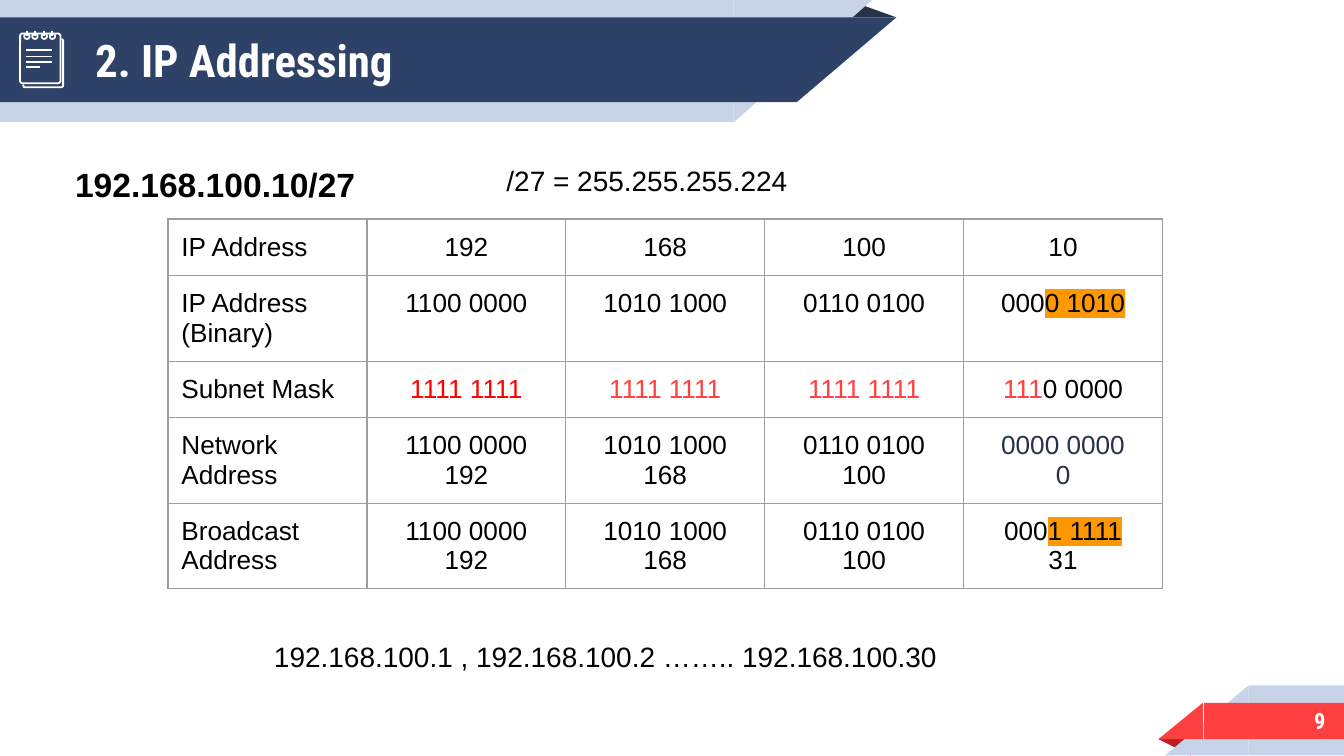
from lxml.etree import SubElement
from pptx import Presentation
from pptx.dml.color import RGBColor
from pptx.enum.shapes import MSO_CONNECTOR, MSO_SHAPE as Kind
from pptx.enum.text import MSO_ANCHOR as Anchor, PP_ALIGN as Align
from pptx.oxml import parse_xml
from pptx.oxml.ns import nsdecls, qn
from pptx.util import Pt

PX = 9144  # 100 px to the inch
BLACK = RGBColor(0x00, 0x00, 0x00)
WHITE = RGBColor(0xFF, 0xFF, 0xFF)
NAVY = RGBColor(0x2E, 0x42, 0x67)
DARK = RGBColor(0x26, 0x32, 0x48)
PALE = RGBColor(0xC7, 0xD3, 0xE6)
CORAL = RGBColor(0xFF, 0x40, 0x40)
RED = RGBColor(0xFF, 0x00, 0x00)
MAROON = RGBColor(0xBD, 0x20, 0x20)
AMBER = RGBColor(0xFF, 0x98, 0x00)
GREY = RGBColor(0x9E, 0x9E, 0x9E)
HEAD, BODY = "Roboto Condensed", "Arial"

# kind, box, fill, turn or flip
BANDS = [
    (Kind.ISOSCELES_TRIANGLE, (862, 550, 35, 12), MAROON, "rot"),
    (Kind.RECTANGLE, (929, 510, 71, 52), PALE, None),
    (Kind.RIGHT_TRIANGLE, (867, 510, 62, 52), PALE, "flipH"),
    (Kind.RECTANGLE, (896, 523, 107, 27), CORAL, None),
    (Kind.RIGHT_TRIANGLE, (862, 523, 33, 27), CORAL, "flipH"),
    (Kind.ISOSCELES_TRIANGLE, (614, 0, 53, 13), DARK, None),
    (Kind.RECTANGLE, (0, 0, 546, 91), PALE, None),
    (Kind.RIGHT_TRIANGLE, (546, 0, 103, 91), PALE, "flipV"),
    (Kind.RECTANGLE, (0, 13, 593, 63), NAVY, None),
    (Kind.RIGHT_TRIANGLE, (593, 13, 74, 63), NAVY, "flipV"),
]

# text, box, format
TEXTS = [
    ("2. IP Addressing", (61, 13, 503, 63),
     dict(size=24, font=HEAD, color=WHITE, bold=True, anchor=Anchor.MIDDLE)),
    ("9", (919, 523, 77, 27),
     dict(size=12, font=HEAD, color=WHITE, bold=True, anchor=Anchor.MIDDLE,
          align=Align.RIGHT)),
    ("192.168.100.10/27", (-4, 112, 301, 63),
     dict(size=18, bold=True, indent=50)),
    ("/27 = 255.255.255.224", (317, 112, 389, 63), dict(size=15, indent=50)),
    ("192.168.100.1 , 192.168.100.2 …….. 192.168.100.30",
     (144, 466, 662, 63), dict(size=15, indent=50)),
]

# A cell is one text, or a list of lines; a line is one text, or a list of
# (text, format) runs.
ROWS = [
    ["IP Address", "192", "168", "100", "10"],
    ["IP Address (Binary)", "1100 0000", "1010 1000", "0110 0100",
     [[("000", {}), ("0 1010", dict(mark=AMBER))]]],
    ["Subnet Mask",
     [[("1111 1111", dict(color=RED))]],
     [[("1111 1111", dict(color=CORAL))]],
     [[("1111 1111", dict(color=CORAL))]],
     [[("111", dict(color=CORAL)), ("0 0000", {})]]],
    ["Network Address", ["1100 0000", "192"], ["1010 1000", "168"],
     ["0110 0100", "100"],
     [[("0000 0000", dict(color=DARK))], [("0", dict(color=DARK))]]],
    ["Broadcast Address", ["1100 0000", "192"], ["1010 1000", "168"],
     ["0110 0100", "100"],
     [[("000", {}), ("1 1111", dict(mark=AMBER))], "31"]],
]
GRID, COL, ROW = (125, 163), 148, 42

SHEET = (15, 25, 30, 37)
BACK = [(17, 63), (18, 65), (19, 65), (46, 65), (47, 64), (47, 30), (46, 29)]
RULES = [(37, 39), (42, 39), (46, 39), (50, 30)]  # y, right end
PINS = [round(20 + 19 * i / 3) for i in range(4)]


def px(*nums):
    return [round(n * PX) for n in nums]


def style(run, size=14, font=BODY, color=BLACK, bold=False, mark=None):
    face = run.font
    face.size, face.bold = Pt(size), bold
    face.color.rgb = color
    if mark:
        glow = SubElement(run._r.get_or_add_rPr(), qn("a:highlight"))
        SubElement(glow, qn("a:srgbClr"), val=str(mark))
    face.name = font


def write(frame, text, align=Align.LEFT, indent=0, **form):
    """Fill a text frame with a text, or with lines of formatted runs."""
    for i, line in enumerate([text] if isinstance(text, str) else text):
        para = frame.add_paragraph() if i else frame.paragraphs[0]
        para.alignment = align
        if indent:
            para._p.get_or_add_pPr().set("marL", str(indent * PX))
        for words, extra in [(line, {})] if isinstance(line, str) else line:
            run = para.add_run()
            run.text = words
            style(run, **{**form, **extra})


def pad(item):
    item.margin_left = item.margin_right = 10 * PX
    item.margin_top = item.margin_bottom = 10 * PX


def label(slide, text, box, anchor=Anchor.TOP, **form):
    frame = slide.shapes.add_textbox(*px(*box)).text_frame
    frame.word_wrap = True
    frame.vertical_anchor = anchor
    pad(frame)
    write(frame, text, **form)


def band(slide, kind, box, fill, turn):
    shape = slide.shapes.add_shape(kind, *px(*box))
    shape.shadow.inherit = False
    shape.fill.solid()
    shape.fill.fore_color.rgb = fill
    shape.line.fill.background()
    if kind == Kind.ISOSCELES_TRIANGLE:
        shape.adjustments[0] = 0.32
    if turn == "rot":
        shape.rotation = 180
    elif turn:
        shape._element.spPr.xfrm.set(turn, "1")


def ink(item):
    item.line.color.rgb = WHITE
    item.line.width = Pt(0.96)


def outline(shape):
    shape.shadow.inherit = False
    shape.fill.background()
    ink(shape)


def stroke(slide, *ends):
    line = slide.shapes.add_connector(MSO_CONNECTOR.STRAIGHT, *px(*ends))
    ink(line)
    SubElement(line._element.spPr, qn("a:effectLst"))


def notepad(slide):
    path = slide.shapes.build_freeform(*BACK[0], scale=PX)
    path.add_line_segments(BACK[1:], close=False)
    outline(path.convert_to_shape())
    sheet = slide.shapes.add_shape(Kind.ROUNDED_RECTANGLE, *px(*SHEET))
    sheet.adjustments[0] = 0.06
    outline(sheet)
    for y, end in RULES:
        stroke(slide, 19, y, end, y)
    for x in PINS:
        outline(slide.shapes.add_shape(Kind.OVAL, *px(x - 2, 25, 4, 4)))
        stroke(slide, x, 23, x, 27)


def border(cell):
    props = cell._tc.get_or_add_tcPr()
    for i, side in enumerate(("lnL", "lnR", "lnT", "lnB")):
        props.insert(i, parse_xml(
            f'<a:{side} {nsdecls("a")} w="{Pt(0.75)}"><a:solidFill>'
            f'<a:srgbClr val="{GREY}"/></a:solidFill></a:{side}>'))


def grid(slide):
    high, wide = len(ROWS), len(ROWS[0])
    table = slide.shapes.add_table(
        high, wide, *px(*GRID, COL * wide, ROW * high)).table
    table.first_row = table.horz_banding = False
    for col in table.columns:
        col.width = COL * PX
    for row, cells in zip(table.rows, ROWS):
        row.height = ROW * PX
        for i, (cell, text) in enumerate(zip(row.cells, cells)):
            pad(cell)
            cell.fill.background()
            border(cell)
            write(cell.text_frame, text,
                  align=Align.CENTER if i else Align.LEFT)


def main():
    deck = Presentation()
    deck.slide_width, deck.slide_height = px(1000, 562.5)
    slide = deck.slides.add_slide(deck.slide_layouts[6])
    for item in BANDS:
        band(slide, *item)
    notepad(slide)
    grid(slide)
    for text, box, form in TEXTS:
        label(slide, text, box, **form)
    deck.save("out.pptx")


if __name__ == "__main__":
    main()
